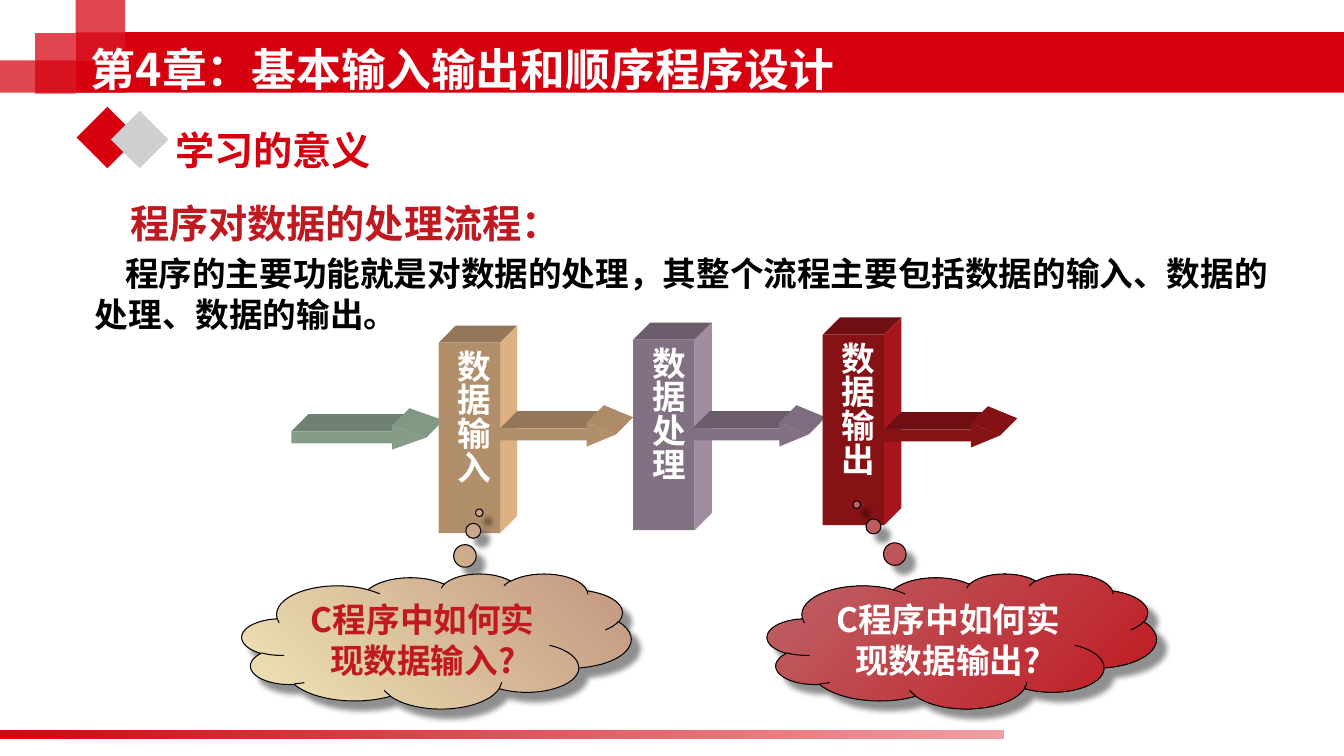
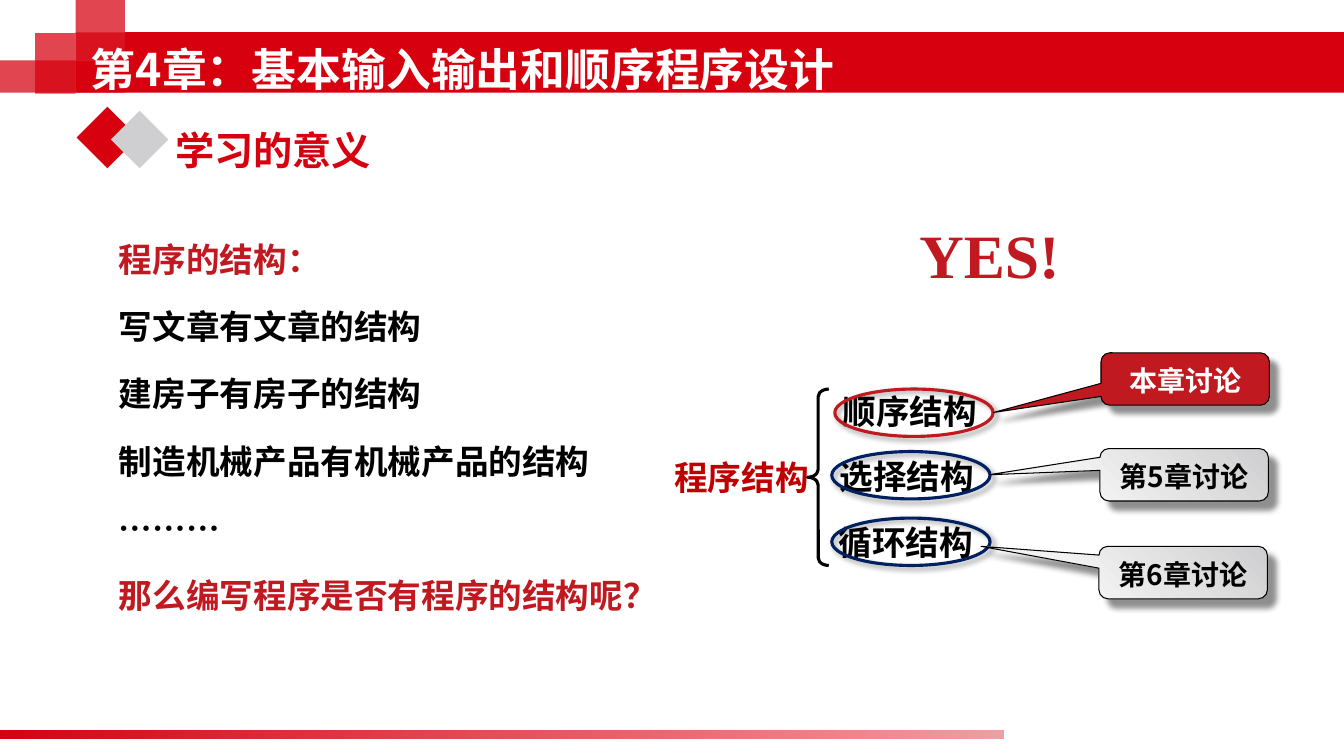
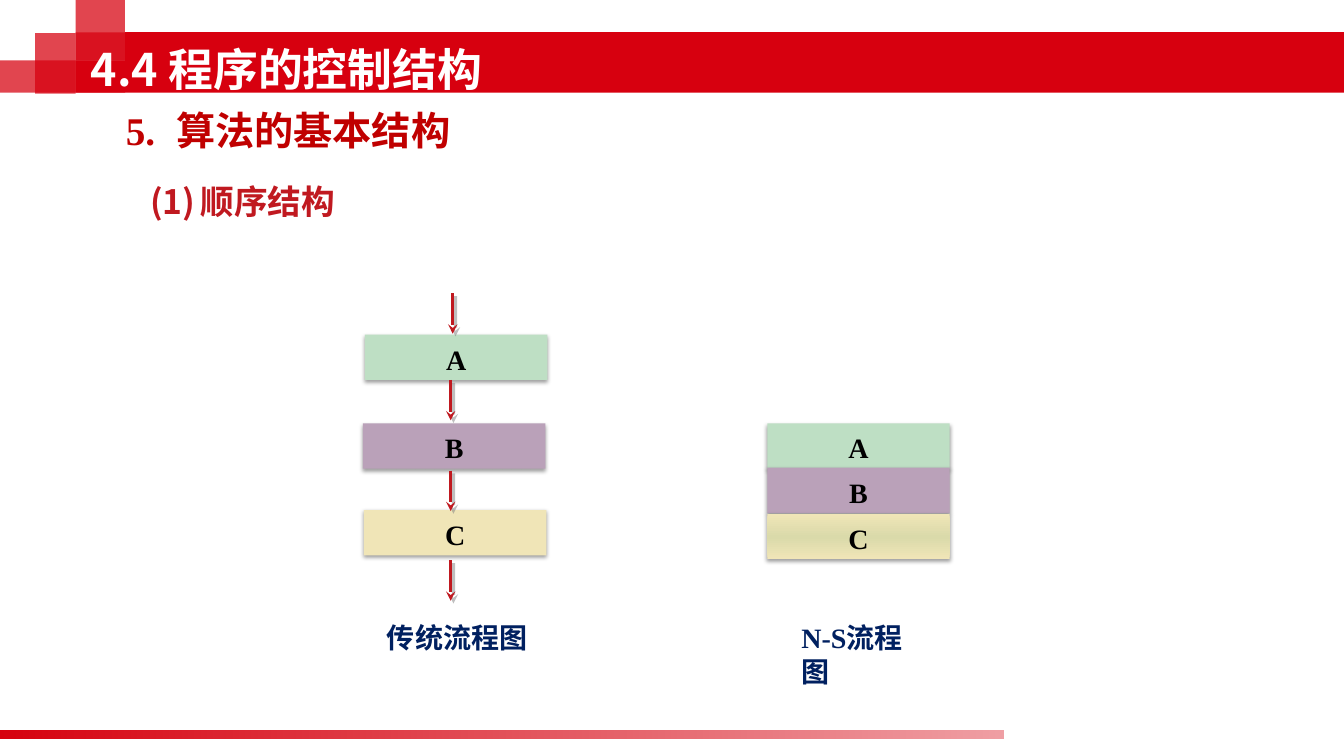
from dataclasses import dataclass

from lxml import etree
from pptx import Presentation
from pptx import util as u
from pptx.dml.color import RGBColor
from pptx.enum import shapes, text
from pptx.oxml.ns import qn

SCALE = 9144
Kind = shapes.MSO_SHAPE
Align = text.PP_ALIGN
Anchor = text.MSO_ANCHOR


@dataclass(frozen=True)
class Theme:
    """Colours, fonts and type sizes of the deck."""

    sans: str = "Noto Sans CJK SC"
    serif: str = "Times New Roman"
    title: int = 32
    heading: int = 28
    body: int = 24
    label: int = 20
    shout: int = 44
    brand: str = "D7000F"
    red: str = "C01920"
    deep_red: str = "C00000"
    rose: str = "BD6368"
    navy: str = "002060"
    black: str = "000000"
    white: str = "FFFFFF"
    shadow_grey: str = "808080"
    silver: str = "CFCFD1"
    pale: str = "F2F2F2"
    green: str = "BEDFC4"
    purple: str = "BAA1B9"
    orange: str = "FFCC99"
    cream: str = "F0E5B7"
    olive: str = "DADAAA"
    brown: str = "C2967F"
    callout_shadow: tuple = ("000000", 43, 4, 8.4, 45)
    ring_shadow: tuple = ("000000", 40, 4, 3, 45)
    box_shadow: tuple = ("000000", 38, 3.1, 1.6, 90)
    arrow_shadow: tuple = ("808080", 50, 0, 2.8, 45)


THEME = Theme()


def px(value):
    """Turn px into EMU."""
    return u.Emu(round(value * SCALE))


def shade(color, factor):
    """Darken a colour by a factor."""
    return "".join(f"{round(int(color[i:i + 2], 16) * factor):02X}" for i in (0, 2, 4))


def node(parent, tag, **attributes):
    """Append a drawing element with the given attributes."""
    values = {name: str(value) for name, value in attributes.items()}
    return etree.SubElement(parent, qn(f"a:{tag}"), values)


def tint(parent, color, alpha=100):
    """Append a colour with its opacity in percent."""
    item = node(parent, "srgbClr", val=color)
    if alpha < 100:
        node(item, "alpha", val=alpha * 1000)


def cast(effects, color, alpha, blur, distance, angle):
    """Append an outer shadow to an effect list."""
    outer = node(effects, "outerShdw", blurRad=u.Pt(blur), dist=u.Pt(distance),
                 dir=angle * 60000, algn="ctr", rotWithShape=0)
    tint(outer, color, alpha)


class Painter:
    """Holds the style and the current slide."""

    def __init__(self, theme):
        """Start an empty deck."""
        self.theme = theme
        self.deck = Presentation()
        self.deck.slide_width, self.deck.slide_height = px(1333), px(750)
        self.page = None

    def new_page(self, title, layout):
        """Add a slide with its title."""
        self.page = self.deck.slides.add_slide(self.deck.slide_layouts[layout])
        if len(self.deck.slides) == 1:
            self.master()
        frame = self.place(self.page.shapes.title, 80, 35, 890, 67, Anchor.MIDDLE)
        self.para(frame, title, self.theme.title, self.theme.white)

    def master(self):
        """Draw the bands that all slides share and move them to the master."""
        brand = self.theme.brand
        veil = [(0, brand, 73), (100, brand, 73)]
        squares = [(0, 60, 124, 32), (35, 33, 40, 60), (75, 0, 49, 60), (75, 32, 49, 28)]
        bands = [self.shape(Kind.RECTANGLE, *square, veil) for square in squares]
        bands.append(self.shape(Kind.RECTANGLE, 75, 60, 49, 32, brand))
        bands.append(self.shape(Kind.RECTANGLE, 124, 32, 1209, 60, brand))
        bands.append(self.shape(Kind.RECTANGLE, 0, 725, 995, 8,
                                [(0, brand, 100), (100, brand, 38)]))
        tree = self.deck.slide_master.element.cSld.spTree
        for number, band in enumerate(bands, 101):
            band.element.nvSpPr.cNvPr.set("id", str(number))
            tree.append(band.element)

    def place(self, box, x, y, w, h, anchor=Anchor.TOP):
        """Move a text holder and return its frame."""
        box.left, box.top, box.width, box.height = px(x), px(y), px(w), px(h)
        return self.frame(box, anchor, (10, 5, 10, 5))

    def frame(self, box, anchor, inset):
        """Prepare the text frame of a shape."""
        frame = box.text_frame
        frame.word_wrap = True
        frame.auto_size = text.MSO_AUTO_SIZE.NONE
        frame.vertical_anchor = anchor
        (frame.margin_left, frame.margin_top,
         frame.margin_right, frame.margin_bottom) = map(px, inset)
        return frame

    def para(self, frame, words, size, color, font=None, align=Align.LEFT,
             spacing=1.2, before=0, left=0, indent=0, tab=0):
        """Add a paragraph of one bold run."""
        para = frame.paragraphs[0]
        if para.runs:
            para = frame.add_paragraph()
            para.space_before = u.Pt(before)
        else:
            para.space_before = u.Pt(0)
        properties = para._p.get_or_add_pPr()
        properties.set("marL", str(px(left)))
        properties.set("indent", str(px(indent)))
        node(properties, "buNone")
        if tab:
            node(node(properties, "tabLst"), "tab", pos=px(tab), algn="l")
        para.alignment = align
        para.line_spacing = u.Pt(round(size * spacing, 1))
        span = para.add_run()
        span.text = words
        span.font.size, span.font.bold = u.Pt(size), True
        span.font.name = font or self.theme.sans
        span.font.color.rgb = RGBColor.from_string(color)
        node(span.font._element, "ea", typeface=self.theme.sans)

    def label(self, words, x, y, w, h, size, color, font=None, tab=0):
        """Add a text box of one paragraph."""
        box = self.page.shapes.add_textbox(px(x), px(y), px(w), px(h))
        self.para(self.place(box, x, y, w, h), words, size, color, font, tab=tab)

    def body(self, x, y, w, h):
        """Move the body placeholder and return its frame."""
        return self.place(self.page.placeholders[1], x, y, w, h)

    def paint(self, item, fill, angle=0):
        """Fill a shape with nothing, a colour or gradient stops."""
        if isinstance(fill, str):
            item.fill.solid()
            item.fill.fore_color.rgb = RGBColor.from_string(fill)
            return
        item.fill.background()
        if fill:
            properties = item.element.spPr
            gradient = etree.Element(qn("a:gradFill"), {"rotWithShape": "1"})
            stops = node(gradient, "gsLst")
            for position, *color in fill:
                tint(node(stops, "gs", pos=position * 1000), *color)
            node(gradient, "lin", ang=angle * 60000, scaled=0)
            properties.replace(properties.find(qn("a:noFill")), gradient)

    def finish(self, item, fill, angle=0, line=None, width=0.75, shadow=None):
        """Give a shape its fill, line and shadow."""
        item.shadow.inherit = False
        self.paint(item, fill, angle)
        if line:
            item.line.color.rgb = RGBColor.from_string(line)
            item.line.width = u.Pt(width)
        else:
            item.line.fill.background()
        if shadow:
            cast(item.element.spPr.find(qn("a:effectLst")), *shadow)
        return item

    def shape(self, kind, x, y, w, h, fill, adjust=(), **look):
        """Add a preset shape."""
        item = self.page.shapes.add_shape(kind, px(x), px(y), px(w), px(h))
        for index, value in enumerate(adjust):
            item.adjustments[index] = value
        return self.finish(item, fill, **look)

    def caption(self, item, words, size, color, font=None):
        """Write centred text in a shape."""
        frame = self.frame(item, Anchor.MIDDLE, (5, 3, 5, 0))
        self.para(frame, words, size, color, font, Align.CENTER)

    def face(self, start, end, color):
        """Add one receding face of a solid."""
        depth = 17
        (x1, y1), (x2, y2) = start, end
        builder = self.page.shapes.build_freeform(x1, y1, SCALE)
        builder.add_line_segments([(x1 + depth, y1 - depth), (x2 + depth, y2 - depth), end])
        self.finish(builder.convert_to_shape(), color)

    def column(self, words, x, y, color):
        """Add a solid column with vertical text."""
        w, h = 61, 189
        self.face((x, y), (x + w, y), shade(color, 0.58))
        self.face((x + w, y), (x + w, y + h), shade(color, 0.87))
        front = self.shape(Kind.RECTANGLE, x, y, w, h, shade(color, 0.7))
        frame = self.frame(front, Anchor.MIDDLE, (8, 7, 0, 0))
        frame._txBody.bodyPr.set("vert", "eaVert")
        self.para(frame, words, self.theme.body, self.theme.white)

    def solid_arrow(self, x, y, w, head, color):
        """Add a solid arrow that points right."""
        h = 24
        neck = x + w - head
        self.face((x, y + h / 4), (neck, y + h / 4), shade(color, 0.58))
        self.face((neck, y), (x + w, y + h / 2), shade(color, 0.68))
        self.shape(Kind.RIGHT_ARROW, x, y, w, h, shade(color, 0.7), (0.5, head / h))

    def cloud(self, words, x, fill, angle, color, adjust):
        """Add a cloud callout."""
        item = self.shape(Kind.CLOUD_CALLOUT, x, 569, 386, 134, fill, adjust, angle=angle,
                          line=self.theme.black, shadow=self.theme.callout_shadow)
        self.caption(item, words, self.theme.body, color)

    def ring(self, x, y, color):
        """Add an outlined ellipse."""
        self.shape(Kind.OVAL, x, y, 157, 47, None, line=color, width=2.25,
                   shadow=self.theme.ring_shadow)

    def callout(self, words, x, y, fill, color, adjust):
        """Add a rounded callout."""
        item = self.shape(Kind.ROUNDED_RECTANGULAR_CALLOUT, x, y, 167, 52, fill,
                          (*adjust, 0.17), angle=135, line=self.theme.black,
                          shadow=self.theme.callout_shadow)
        self.caption(item, words, self.theme.label, color)

    def step(self, words, x, y, fill):
        """Add one box of a flow chart."""
        item = self.shape(Kind.RECTANGLE, x, y, 181, 45, fill, angle=270,
                          shadow=self.theme.box_shadow)
        self.caption(item, words, self.theme.label, self.theme.black, self.theme.serif)

    def arrow(self, x, y, length):
        """Add a downward flow arrow."""
        line = self.page.shapes.add_connector(shapes.MSO_CONNECTOR.STRAIGHT,
                                              px(x), px(y), px(x), px(y + length))
        line.line.color.rgb = RGBColor.from_string(self.theme.red)
        line.line.width = u.Pt(2.25)
        properties = line.element.spPr
        node(properties.find(qn("a:ln")), "tailEnd", type="stealth")
        cast(node(properties, "effectLst"), *self.theme.arrow_shadow)

    def section(self, words):
        """Add the section heading with its two diamonds."""
        self.shape(Kind.DIAMOND, 76, 106, 61, 61, self.theme.brand)
        self.shape(Kind.DIAMOND, 110, 110, 57, 57, self.theme.silver)
        self.label(words, 164, 120, 269, 57, self.theme.heading, self.theme.brand)


def data_flow(painter):
    """Build the slide on the flow of data."""
    theme = painter.theme
    painter.new_page("第4章：基本输入输出和顺序程序设计", 1)
    painter.section("学习的意义")
    frame = painter.body(34, 193, 1250, 140)
    painter.para(frame, "程序对数据的处理流程：", theme.heading, theme.red, left=50, indent=35)
    painter.para(frame, "程序的主要功能就是对数据的处理，其整个流程主要包括数据的输入、数据的处理、数据的输出。",
                 theme.body, theme.black, before=4.8, left=50, indent=30)
    painter.column("数据处理", 628, 337, theme.purple)
    painter.solid_arrow(289, 422, 134, 34, theme.green)
    painter.column("数据输入", 435, 340, theme.orange)
    painter.solid_arrow(496, 419, 115, 29, theme.orange)
    painter.solid_arrow(687, 419, 115, 29, theme.purple)
    painter.column("数据输出", 816, 332, theme.red)
    painter.solid_arrow(877, 420, 115, 29, theme.red)
    painter.cloud("C程序中如何实现数据输入?", 240, [(0, theme.cream), (100, theme.brown)],
                  315, theme.red, (0.11, -0.95))
    painter.cloud("C程序中如何实现数据输出?", 761, [(0, theme.rose), (100, theme.red)],
                  45, theme.white, (-0.27, -1.01))


def program_structure(painter):
    """Build the slide on the structure of programs."""
    theme = painter.theme
    painter.new_page("第4章：基本输入输出和顺序程序设计", 1)
    painter.section("学习的意义")
    frame = painter.body(78, 212, 653, 420)
    for words, color in [
        ("程序的结构：", theme.red),
        ("写文章有文章的结构", theme.black),
        ("建房子有房子的结构", theme.black),
        ("制造机械产品有机械产品的结构", theme.black),
        ("………", theme.black),
        ("那么编写程序是否有程序的结构呢？", theme.red),
    ]:
        painter.para(frame, words, theme.body, color, spacing=1.8, before=4.8, left=30)
    for words, x, y, color in [
        ("程序结构", 659, 448, theme.deep_red),
        ("顺序结构", 826, 383, theme.black),
        ("选择结构", 823, 447, theme.black),
        ("循环结构", 822, 513, theme.black),
    ]:
        painter.label(words, x, y, 173, 50, theme.body, color, theme.serif)
    painter.shape(Kind.LEFT_BRACE, 801, 386, 21, 175, None, (0.36, 0.5),
                  line=theme.black, width=2.25)
    painter.label("YES!", 902, 210, 173, 84, theme.shout, theme.red, theme.serif)
    grey = [(0, theme.silver), (100, theme.pale)]
    painter.ring(828, 386, theme.red)
    painter.callout("本章讨论", 1092, 350, theme.red, theme.white, (-1.14, 0.64))
    painter.ring(825, 448, theme.navy)
    painter.callout("第5章讨论", 1091, 445, grey, theme.black, (-1.16, 0))
    painter.ring(825, 514, theme.navy)
    painter.callout("第6章讨论", 1090, 542, grey, theme.black, (-1.2, -0.5))


def sequence(painter):
    """Build the slide on the sequence structure."""
    theme = painter.theme
    painter.new_page("4.4 程序的控制结构", 5)
    painter.label("5.\t算法的基本结构", 115, 101, 510, 57, theme.heading, theme.deep_red,
                  theme.serif, tab=57)
    painter.label("(1)\t顺序结构", 139, 175, 260, 50, theme.body, theme.red, tab=67)
    sorted_fills = [("A", theme.green), ("B", theme.purple), ("C", theme.cream)]
    for (words, fill), x, y in zip(sorted_fills, (362, 360, 361), (332, 420, 506)):
        painter.step(words, x, y, fill)
    for x, y in [(449, 291), (447, 377), (447, 467), (447, 556)]:
        painter.arrow(x, y, 40)
    painter.label("传统流程图", 374, 611, 170, 44, theme.label, theme.navy)
    banded = [(0, theme.cream), (50, theme.olive), (100, theme.cream)]
    for words, y, fill in [("A", 420, theme.green), ("B", 464, theme.purple), ("C", 510, banded)]:
        painter.step(words, 761, y, fill)
    painter.label("N-S流程图", 785, 611, 145, 76, theme.label, theme.navy, theme.serif)


def main():
    """Build and save the deck."""
    painter = Painter(THEME)
    data_flow(painter)
    program_structure(painter)
    sequence(painter)
    painter.deck.save("out.pptx")


if __name__ == "__main__":
    main()
